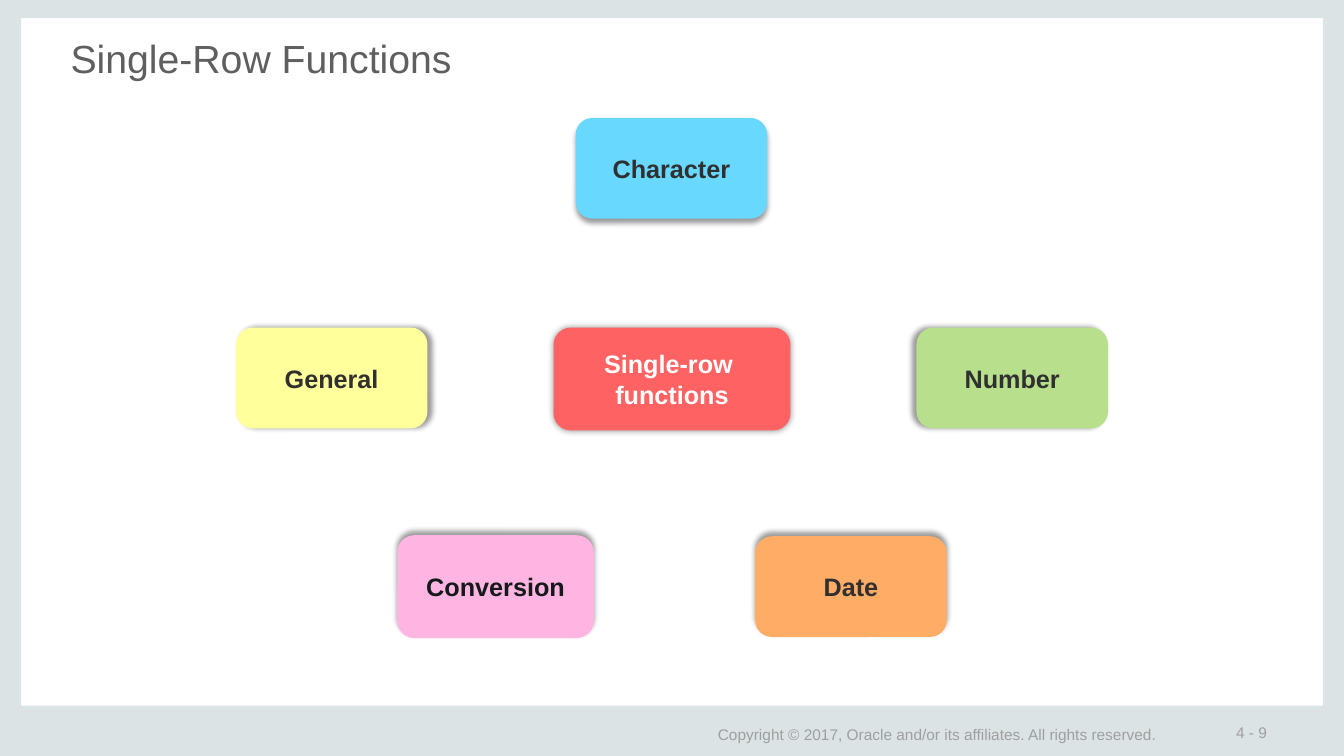
from dataclasses import dataclass

from lxml import etree
from pptx import Presentation
from pptx.dml.color import RGBColor
from pptx.enum.shapes import MSO_SHAPE
from pptx.enum.text import MSO_ANCHOR, MSO_AUTO_SIZE, PP_ALIGN
from pptx.oxml.ns import qn
from pptx.util import Inches, Pt

RECTANGLE = MSO_SHAPE.RECTANGLE
ROUNDED = MSO_SHAPE.ROUNDED_RECTANGLE
TOP, MIDDLE = MSO_ANCHOR.TOP, MSO_ANCHOR.MIDDLE
LEFT, CENTER = PP_ALIGN.LEFT, PP_ALIGN.CENTER
NO_AUTOFIT = MSO_AUTO_SIZE.NONE
TITLE_ONLY = 5

WIDTH, HEIGHT = 13.33, 7.5
FRAME = 0.21
FRAME_TOP = -0.03
FRAME_COLOR = "DCE3E4"
FOOTER_COLOR = "9F9F9F"
DARK = "303030"


@dataclass
class Box:
    left: float
    top: float
    width: float
    height: float


@dataclass
class Category:
    lines: list[str]
    box: Box
    fill: str
    color: str = DARK
    blur: float = 4
    distance: float = 3
    direction: int = 0


FRAME_BARS = [
    Box(WIDTH - FRAME, FRAME_TOP, FRAME, HEIGHT),
    Box(0, FRAME_TOP, FRAME, HEIGHT),
    Box(0, 7, WIDTH, 0.5),
    Box(0, FRAME_TOP, WIDTH, FRAME),
]

FOOTERS = {
    "4 - 9": Box(12.13, 7.17, 1.18, 0.2),
    "Copyright © 2017, Oracle and/or its affiliates. All rights reserved.":
        Box(6.99, 7.17, 5.34, 0.22),
}

CATEGORIES = [
    Category(["Character"], Box(5.71, 1.17, 1.9, 1), "69D8FF", direction=90),
    Category(["Conversion"], Box(3.94, 5.31, 1.95, 1.02), "FFB4E2", "141919", direction=270),
    Category(["Date"], Box(7.49, 5.32, 1.9, 1), "FFAD66", direction=270),
    Category(["Number"], Box(9.09, 3.25, 1.9, 1), "B8E08C", direction=180),
    Category(["General"], Box(2.34, 3.25, 1.9, 1), "FFFF9B"),
    Category(["Single-row ", "functions"], Box(5.49, 3.25, 2.35, 1.02), "FF6262", "FFFFFF",
             blur=5, distance=0),
]


def rgb(color: str) -> RGBColor:
    return RGBColor.from_string(color)


def inches(box: Box) -> list[int]:
    return [Inches(value) for value in (box.left, box.top, box.width, box.height)]


def set_attributes(target, values: dict) -> None:
    for name, value in values.items():
        setattr(target, name, value)


def write_text(shape, lines: list[str], size: float, color: str, align=LEFT, anchor=MIDDLE,
               margins: tuple[float, float, float] = (0.1, 0.05, 0.05),
               bold: bool = False) -> None:
    """Fill the text frame; margins are the sides, the top and the bottom."""
    side, top, bottom = (Inches(margin) for margin in margins)
    frame = shape.text_frame
    frame.text = "\n".join(lines)
    set_attributes(frame, {
        "word_wrap": True, "auto_size": NO_AUTOFIT, "vertical_anchor": anchor,
        "margin_left": side, "margin_right": side,
        "margin_top": top, "margin_bottom": bottom,
    })
    for paragraph in frame.paragraphs:
        paragraph.alignment = align
        font = paragraph.runs[0].font
        set_attributes(font, {"name": "Arial", "size": Pt(size), "bold": bold})
        font.color.rgb = rgb(color)


def add_block(slide, kind, box: Box, fill: str):
    shape = slide.shapes.add_shape(kind, *inches(box))
    shape.shadow.inherit = False
    shape.fill.solid()
    shape.fill.fore_color.rgb = rgb(fill)
    shape.line.fill.background()
    return shape


def add_shadow(shape, category: Category) -> None:
    effects = shape.element.spPr.find(qn("a:effectLst"))
    shadow = etree.SubElement(effects, qn("a:outerShdw"), {
        "blurRad": str(Pt(category.blur)), "dist": str(Pt(category.distance)),
        "dir": str(category.direction * 60000), "rotWithShape": "0",
    })
    color = etree.SubElement(shadow, qn("a:srgbClr"), val="000000")
    etree.SubElement(color, qn("a:alpha"), val="40000")


def add_category(slide, category: Category) -> None:
    shape = add_block(slide, ROUNDED, category.box, category.fill)
    add_shadow(shape, category)
    write_text(shape, category.lines, 18, category.color, align=CENTER, bold=True)


def add_title(slide, text: str) -> None:
    title = slide.shapes.title
    left, top, width, height = inches(Box(0.68, 0.29, 11.97, 0.96))
    set_attributes(title, {"left": left, "top": top, "width": width, "height": height})
    write_text(title, [text], 28, "5F5F5F", anchor=TOP, margins=(0.02, 0.05, 0.02))


def main() -> None:
    presentation = Presentation()
    presentation.slide_width = Inches(WIDTH)
    presentation.slide_height = Inches(HEIGHT)
    slide = presentation.slides.add_slide(presentation.slide_layouts[TITLE_ONLY])

    for bar in FRAME_BARS:
        add_block(slide, RECTANGLE, bar, FRAME_COLOR)
    for text, box in FOOTERS.items():
        footer = slide.shapes.add_textbox(*inches(box))
        write_text(footer, [text], 11, FOOTER_COLOR, margins=(0.13, 0.07, 0.07))
    add_title(slide, "Single-Row Functions")
    for category in CATEGORIES:
        add_category(slide, category)

    presentation.save("out.pptx")


if __name__ == "__main__":
    main()
